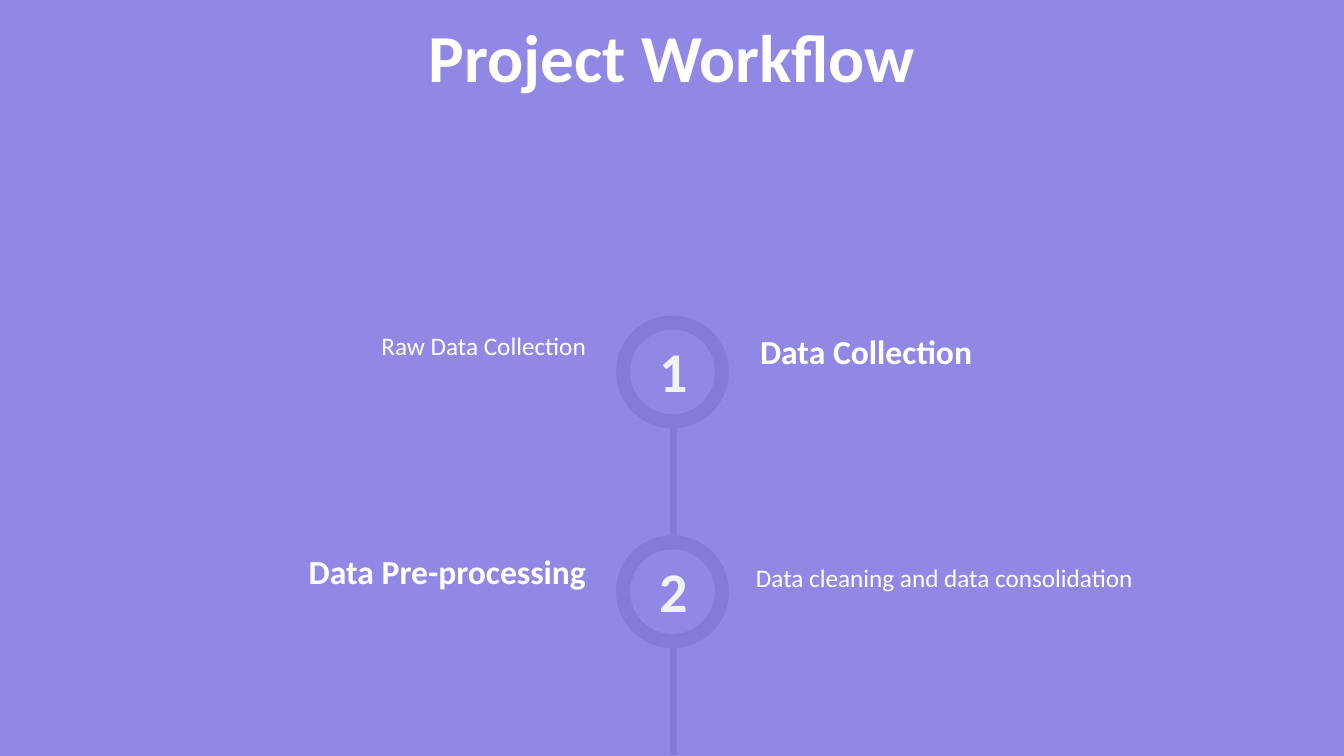
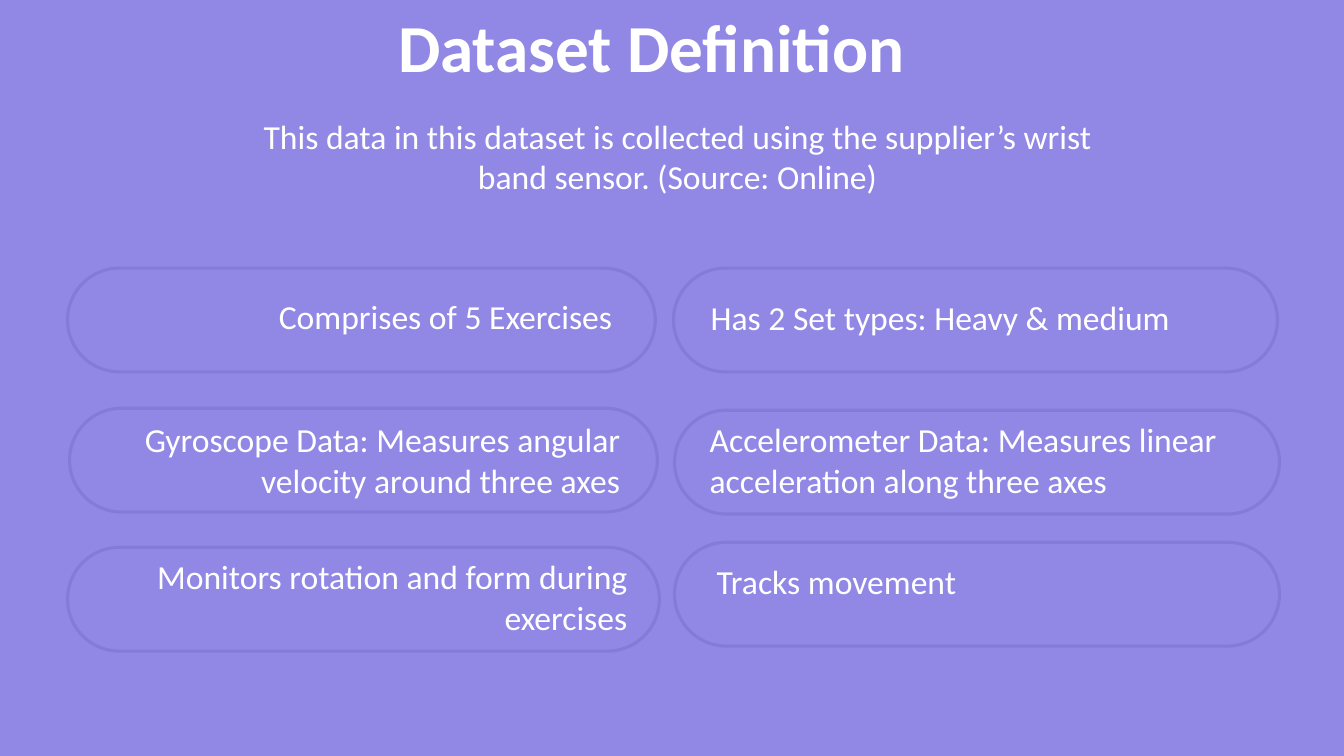
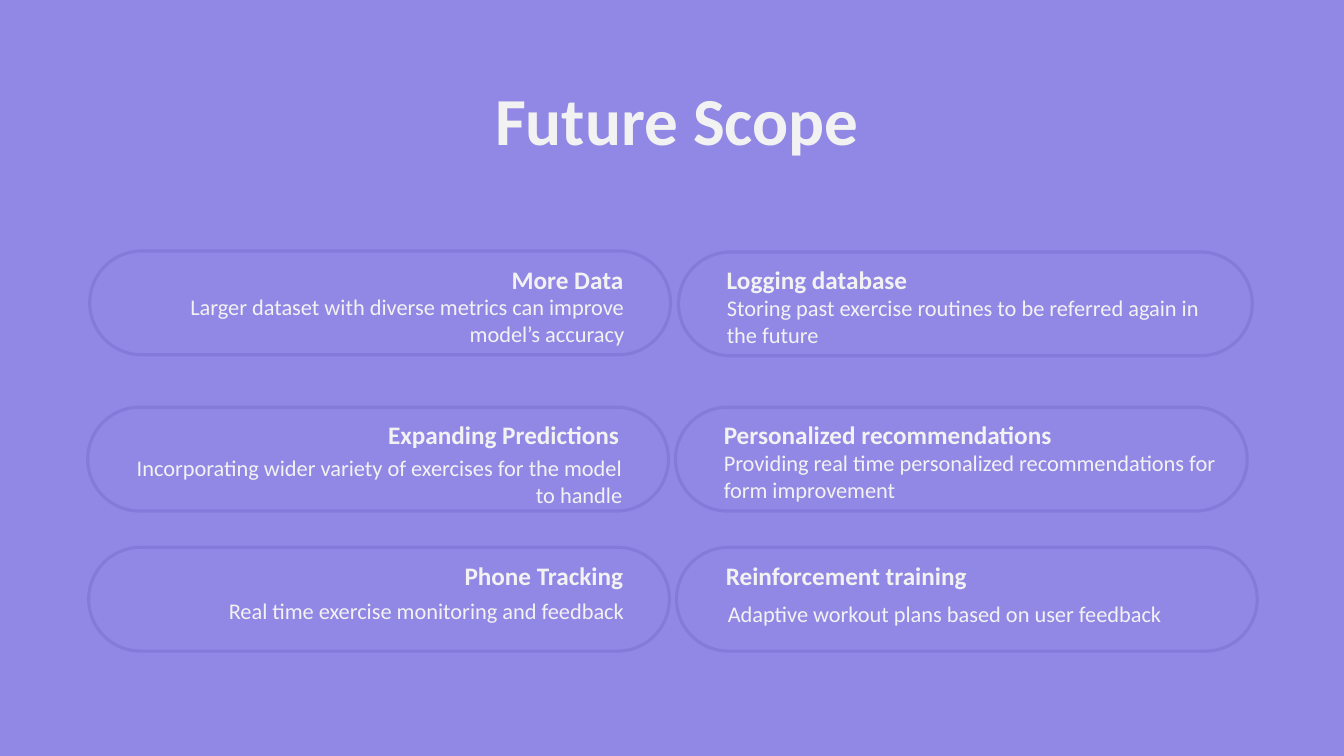
"""Build three slides: project workflow, dataset definition and future scope."""
from pptx import Presentation
from pptx.dml.color import RGBColor
from pptx.enum.shapes import MSO_CONNECTOR, MSO_SHAPE
from pptx.enum.text import MSO_AUTO_SIZE, PP_ALIGN
from pptx.oxml.ns import qn
from pptx.util import Pt
from lxml.etree import SubElement

PX = 9144
LAVENDER, VIOLET = "9188E5", "837AD9"
WHITE, PALE = "FFFFFF", "F2F2F2"
LEFT, CENTER, RIGHT = PP_ALIGN.LEFT, PP_ALIGN.CENTER, PP_ALIGN.RIGHT
TITLE_SIZE, TITLE_HEIGHT = 48, 91
PILL_HEIGHT = 103
rgb = RGBColor.from_string


def add_text(slide, at, text, size, color, align=LEFT, bold=False):
    box = slide.shapes.add_textbox(*[length * PX for length in at])
    frame = box.text_frame
    frame.word_wrap = True
    frame.auto_size = MSO_AUTO_SIZE.SHAPE_TO_FIT_TEXT
    para = frame.paragraphs[0]
    para.alignment = align
    span = para.add_run()
    span.text = text
    span.font.name = "Calibri"
    span.font.size = Pt(size)
    span.font.bold = bold
    span.font.color.rgb = rgb(color)


def add_solid(slide, kind, at, fill, line=None):
    shape = slide.shapes.add_shape(kind, *[length * PX for length in at])
    shape.shadow.inherit = False
    shape.fill.solid()
    shape.fill.fore_color.rgb = rgb(fill)
    if line:
        shape.adjustments[0] = 0.5
        shape.line.color.rgb = rgb(line)
        shape.line.width = Pt(2.25)
    else:
        shape.line.fill.background()


deck = Presentation()
deck.slide_width = 1333 * PX
deck.slide_height = 750 * PX
background = deck.slide_master.background.fill
background.solid()
background.fore_color.rgb = rgb(LAVENDER)
blank = deck.slide_layouts[6]

workflow = deck.slides.add_slide(blank)
add_text(workflow, (402, 10, 529, TITLE_HEIGHT), "Project Workflow", TITLE_SIZE, WHITE, CENTER, True)
STEP_TOP, STEP_PITCH = 313, 218
DISC, RING, AXIS = 112, 14, 668
for step in range(2):
    top = STEP_TOP + step * STEP_PITCH
    add_solid(workflow, MSO_SHAPE.OVAL, (611, top, DISC, DISC), VIOLET)
    stem = workflow.shapes.add_connector(
        MSO_CONNECTOR.STRAIGHT, AXIS * PX, (top + 105) * PX, AXIS * PX, (top + STEP_PITCH) * PX)
    stem.line.color.rgb = rgb(VIOLET)
    stem.line.width = Pt(4.5)
    SubElement(stem._element.spPr, qn("a:effectLst"))
    hole = DISC - 2 * RING
    add_solid(workflow, MSO_SHAPE.OVAL, (611 + RING, top + RING, hole, hole), LAVENDER)
    add_text(workflow, (637, top + 16, 62, 77), str(step + 1), 40, PALE, CENTER, True)

step_labels = [
    ((744, 323, 383, 50), "Data Collection", 24, LEFT, True),
    ((244, 323, 347, 40), "Raw Data Collection", 18, RIGHT, False),
    ((740, 553, 403, 40), "Data cleaning and data consolidation", 18, LEFT, False),
    ((206, 542, 385, 50), "Data Pre-processing", 24, RIGHT, True),
]
for at, text, size, align, bold in step_labels:
    add_text(workflow, at, text, size, WHITE, align, bold)

dataset = deck.slides.add_slide(blank)
add_text(dataset, (320, 0, 652, TITLE_HEIGHT), "Dataset Definition", TITLE_SIZE, WHITE, CENTER, True)
add_text(dataset, (228, 110, 888, 91),
         "This data in this dataset is collected using the supplier’s wrist band sensor. (Source: Online)",
         24, WHITE, CENTER)
facts = [
    ((668, 266, 599), (695, 290, 565, 50), LEFT, "Has 2 Set types: Heavy & medium"),
    ((669, 407, 600), (694, 411, 562, 91), LEFT,
     "Accelerometer Data: Measures linear acceleration along three axes"),
    ((669, 538, 600), (701, 552, 540, 50), LEFT, "Tracks movement"),
    ((67, 266, 583), (46, 289, 571, 50), RIGHT, "Comprises of 5 Exercises"),
    ((69, 405, 583), (39, 411, 586, 91), RIGHT,
     "Gyroscope Data: Measures angular velocity around three axes"),
    ((67, 543, 587), (104, 547, 528, 91), RIGHT, "Monitors rotation and form during exercises"),
]
for pill, at, align, text in facts:
    add_solid(dataset, MSO_SHAPE.ROUNDED_RECTANGLE, (*pill, PILL_HEIGHT), LAVENDER, VIOLET)
    add_text(dataset, at, text, 24, WHITE, align)

future = deck.slides.add_slide(blank)
add_text(future, (407, 73, 529, TITLE_HEIGHT), "Future Scope", TITLE_SIZE, PALE, CENTER, True)
ideas = [
    ((673, 250, 569), (711, 257, 333), (711, 287, 511, 64), LEFT, "Logging database",
     "Storing past exercise routines to be referred again in the future"),
    ((670, 404, 567), (708, 411, 558), (708, 441, 509, 64), LEFT, "Personalized recommendations",
     "Providing real time personalized recommendations for form improvement"),
    ((671, 543, 576), (710, 551, 531), (712, 590, 517, 37), LEFT, "Reinforcement training",
     "Adaptive workout plans based on user feedback"),
    ((89, 249, 576), (291, 257, 337), (112, 286, 517, 64), RIGHT, "More Data",
     "Larger dataset with diverse metrics can improve model’s accuracy"),
    ((87, 404, 576), (160, 411, 464), (110, 446, 517, 64), RIGHT, "Expanding Predictions",
     "Incorporating wider variety of exercises for the model to handle"),
    ((88, 543, 576), (291, 551, 337), (112, 588, 517, 37), RIGHT, "Phone Tracking",
     "Real time exercise monitoring and feedback"),
]
for pill, heading_at, detail_at, align, heading, detail in ideas:
    add_solid(future, MSO_SHAPE.ROUNDED_RECTANGLE, (*pill, PILL_HEIGHT), LAVENDER, VIOLET)
    add_text(future, (*heading_at, 40), heading, 18, PALE, align, True)
    add_text(future, detail_at, detail, 16, PALE, align)

deck.save("out.pptx")
